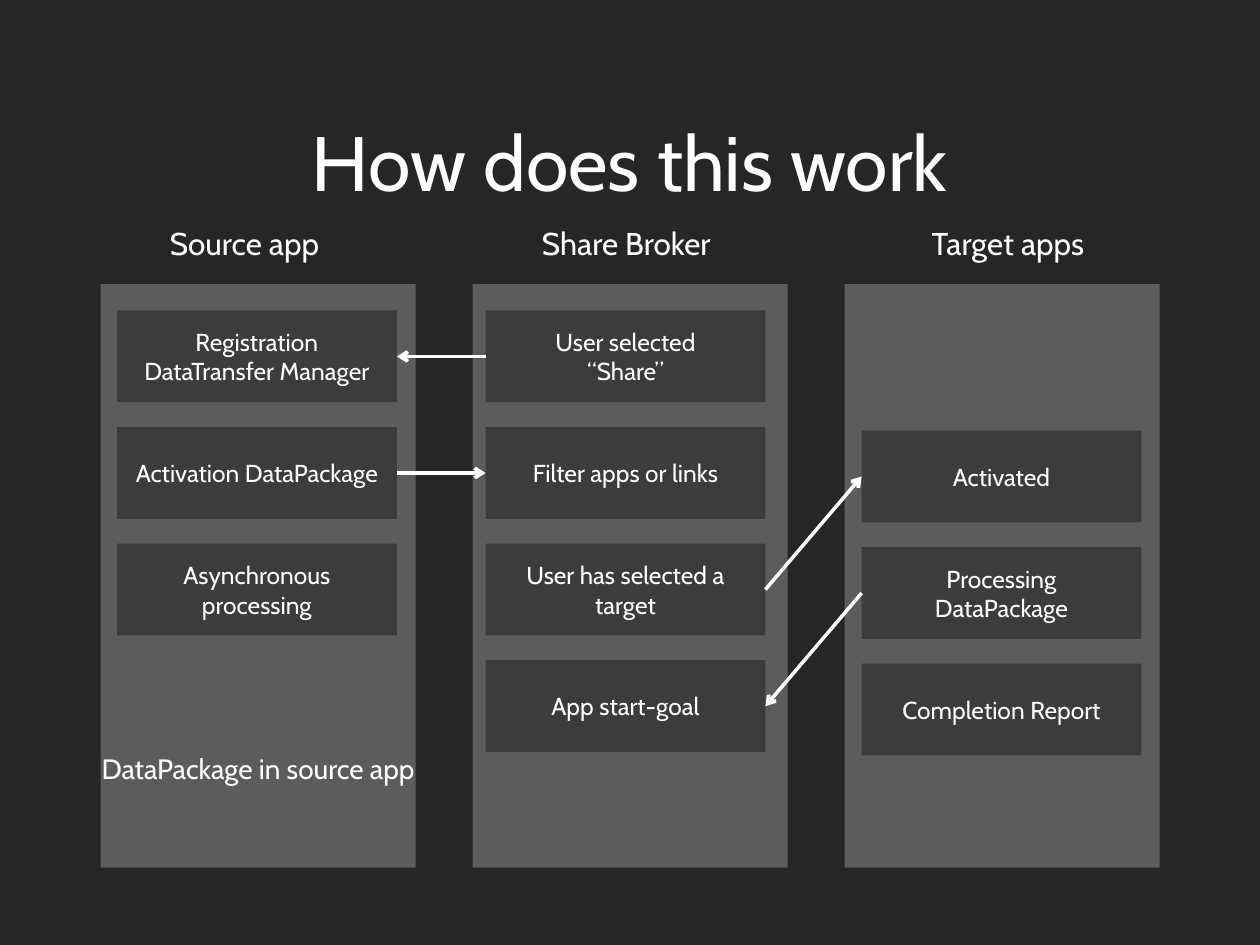
"""Build the slide that shows how sharing works between apps."""
from lxml import etree
from pptx import Presentation
from pptx.dml.color import RGBColor
from pptx.enum.shapes import MSO_CONNECTOR as CONNECTOR, MSO_SHAPE as SHAPE
from pptx.enum.text import MSO_ANCHOR as ANCHOR, PP_ALIGN as ALIGN
from pptx.oxml.ns import qn
from pptx.util import Cm, Pt


def color(hex_value):
    return RGBColor.from_string(hex_value)


def write(shape, text, size, anchor, inset_x=0, inset_y=0):
    frame = shape.text_frame
    frame.text = text
    frame.word_wrap = True
    frame.vertical_anchor = anchor
    frame.margin_left = frame.margin_right = Cm(inset_x)
    frame.margin_top = frame.margin_bottom = Cm(inset_y)
    for paragraph in frame.paragraphs:
        paragraph.alignment = ALIGN.CENTER
        for run in paragraph.runs:
            run.font.name = "Cabin"
            run.font.size = Pt(size)
            run.font.color.rgb = color("FFFFFF")


presentation = Presentation()
presentation.slide_width = Cm(25.4)
presentation.slide_height = Cm(19.05)
slide = presentation.slides.add_slide(presentation.slide_layouts[6])
slide.background.fill.solid()
slide.background.fill.fore_color.rgb = color("262626")
shapes = slide.shapes

title = shapes.add_textbox(Cm(1.27), Cm(1.98), Cm(22.86), Cm(2.51))
write(title, "How does this work", 44, ANCHOR.MIDDLE, 0.25, 0.13)

columns = [
    ("Source app", 1.5, 6.86, 2.36, 6.26,
     ["Registration\nDataTransfer Manager", "Activation DataPackage",
      "Asynchronous processing"]),
    ("Share Broker", 9.45, 6.35, 9.79, 6.26,
     ["User selected\n“Share”", "Filter apps or links",
      "User has selected a target", "App start-goal"]),
    ("Target apps", 17.02, 6.6, 17.37, 8.68,
     ["Activated", "Processing\vDataPackage", "Completion Report"]),
]
steps = {}
for index, (app, heading_left, heading_width, step_left, first_top, labels) in enumerate(columns):
    panel = shapes.add_shape(SHAPE.RECTANGLE, Cm(2.03 + 7.5 * index), Cm(5.73),
                             Cm(6.35), Cm(11.76))
    panel.shadow.inherit = False
    panel.fill.solid()
    panel.fill.fore_color.rgb = color("5C5C5C")
    panel.line.fill.background()
    heading = shapes.add_textbox(Cm(heading_left), Cm(4.52), Cm(heading_width), Cm(0.76))
    write(heading, app, 18, ANCHOR.TOP)
    for row, label in enumerate(labels):
        step = shapes.add_shape(SHAPE.RECTANGLE, Cm(step_left), Cm(first_top + 2.35 * row),
                                Cm(5.64), Cm(1.85))
        step.shadow.inherit = False
        step.fill.solid()
        step.fill.fore_color.rgb = color("3C3C3C")
        step.line.fill.background()
        write(step, label, 14, ANCHOR.MIDDLE, 0.2, 0.1)
        steps[app, row] = step

flows = [
    (("Share Broker", 0), 1, ("Source app", 0), 3),
    (("Source app", 1), 3, ("Share Broker", 1), 1),
    (("Share Broker", 2), 3, ("Target apps", 0), 1),
    (("Target apps", 1), 1, ("Share Broker", 3), 3),
]
for sender, sender_side, receiver, receiver_side in flows:
    arrow = shapes.add_connector(CONNECTOR.STRAIGHT, 0, 0, 0, 0)
    arrow.begin_connect(steps[sender], sender_side)
    arrow.end_connect(steps[receiver], receiver_side)
    arrow.line.color.rgb = color("FFFFFF")
    arrow.line.width = Pt(2)
    etree.SubElement(arrow.line._get_or_add_ln(), qn("a:tailEnd"), type="arrow")
    etree.SubElement(arrow._element.spPr, qn("a:effectLst"))

package_note = shapes.add_textbox(Cm(2.03), Cm(15.16), Cm(6.35), Cm(1.37))
write(package_note, "DataPackage in source app", 16, ANCHOR.TOP)

presentation.save("out.pptx")
